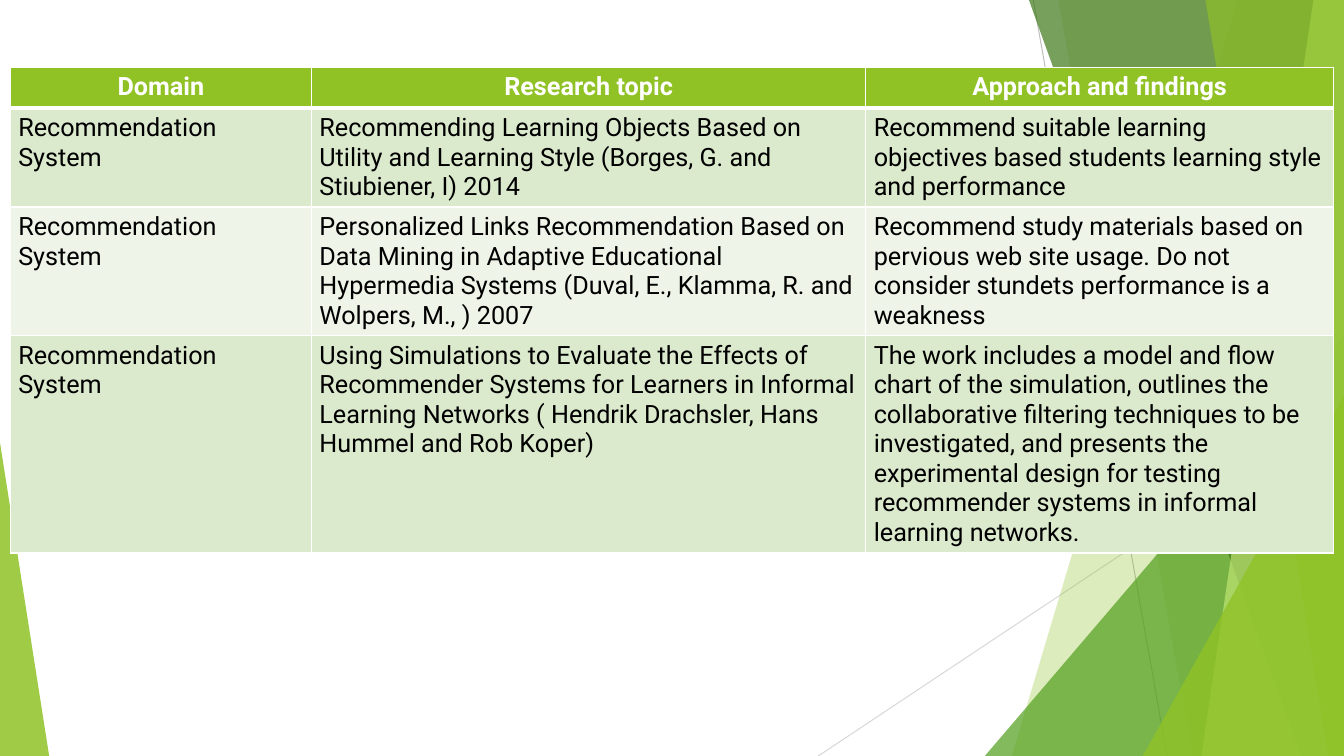
from lxml import etree
from pptx import Presentation
from pptx.dml.color import RGBColor
from pptx.enum.shapes import MSO_CONNECTOR, MSO_SHAPE
from pptx.enum.text import PP_ALIGN
from pptx.oxml.ns import qn
from pptx.util import Cm, Pt

STRAIGHT = MSO_CONNECTOR.STRAIGHT
TRIANGLE = MSO_SHAPE.ISOSCELES_TRIANGLE
CENTER, LEFT = PP_ALIGN.CENTER, PP_ALIGN.LEFT

WHITE = RGBColor(0xFF, 0xFF, 0xFF)
BLACK = RGBColor(0x00, 0x00, 0x00)
LIME = RGBColor(0x90, 0xC2, 0x26)
GREEN = RGBColor(0x54, 0xA0, 0x21)
FOREST = RGBColor(0x3F, 0x78, 0x19)
PALE_LIME = RGBColor(0xC0, 0xE4, 0x74)
ROW_DARK = RGBColor(0xDB, 0xE9, 0xCD)
ROW_LIGHT = RGBColor(0xEE, 0xF4, 0xE8)
GRAY = RGBColor(0xBF, 0xBF, 0xBF)
LIGHT_GRAY = RGBColor(0xD9, 0xD9, 0xD9)

# Content
ROWS = [
    ("Domain", "Research topic", "Approach and findings"),
    ("Recommendation System",
     "Recommending Learning Objects Based on Utility and Learning Style "
     "(Borges, G. and Stiubiener, I) 2014",
     "Recommend suitable learning objectives based students learning style "
     "and performance"),
    ("Recommendation System",
     "Personalized Links Recommendation Based on Data Mining in Adaptive "
     "Educational Hypermedia Systems (Duval, E., Klamma, R. and Wolpers, M., ) 2007",
     "Recommend study materials based on pervious web site usage. "
     "Do not consider stundets performance is a weakness"),
    ("Recommendation System",
     "Using Simulations to Evaluate the Effects of Recommender Systems for "
     "Learners in Informal Learning Networks ( Hendrik Drachsler, Hans Hummel "
     "and Rob Koper)",
     "The work includes a model and flow chart of the simulation, outlines the "
     "collaborative filtering techniques to be investigated, and presents the "
     "experimental design for testing recommender systems in informal learning "
     "networks."),
]

# Layout in centimetres
PAGE_WIDTH, PAGE_HEIGHT = 33.87, 19.05
TABLE_LEFT, TABLE_TOP = 0.26, 1.7
COLUMN_WIDTHS = (7.59, 13.97, 11.79)
ROW_HEIGHTS = (1.02, 2.48, 3.24, 5.46)
CELL_MARGINS = {"margin_left": Cm(0.2), "margin_right": Cm(0.2),
                "margin_top": Cm(0.13), "margin_bottom": Cm(0.13)}

RAYS = [  # start x, start y, end x, end y, colour
    (26.04, 0, 29.41, PAGE_HEIGHT, GRAY),
    (PAGE_WIDTH, 10.24, 20.62, PAGE_HEIGHT, LIGHT_GRAY),
]
# Bands reach the right edge: (top x, bottom x)
# Wedges stand on the bottom edge: (left, top, width, apex)
FACETS = [  # geometry, colour, opacity in percent
    ((31.19, 25.5), LIME, 30),
    ((26.67, 30.05), LIME, 20),
    ((24.82, 8.46, 9.05, 1), GREEN, 72),
    ((25.93, 32.79), FOREST, 70),
    ((33.1, 30.28), PALE_LIME, 70),
    ((30.38, 33.48), LIME, 65),
    ((28.8, 9.98, 5.07, 1), LIME, 80),
    ((0, 11.15, 1.24, 0), LIME, 85),
]


def add_ray(page, x1, y1, x2, y2, color):
    ray = page.shapes.add_connector(STRAIGHT, Cm(x1), Cm(y1), Cm(x2), Cm(y2))
    ray.line.color.rgb = color
    ray.line.width = Pt(0.75)
    etree.SubElement(ray._element.spPr, qn("a:effectLst"))


def add_band(page, top_x, bottom_x):
    outline = page.shapes.build_freeform(Cm(top_x), 0)
    outline.add_line_segments([(Cm(PAGE_WIDTH), 0),
                               (Cm(PAGE_WIDTH), Cm(PAGE_HEIGHT)),
                               (Cm(bottom_x), Cm(PAGE_HEIGHT))])
    return outline.convert_to_shape()


def add_wedge(page, left, top, width, apex):
    wedge = page.shapes.add_shape(TRIANGLE, Cm(left), Cm(top), Cm(width),
                                  Cm(PAGE_HEIGHT - top))
    wedge.adjustments[0] = apex
    return wedge


def add_facet(page, geometry, color, opacity):
    build = add_band if len(geometry) == 2 else add_wedge
    facet = build(page, *geometry)
    facet.shadow.inherit = False
    facet.line.fill.background()
    facet.fill.solid()
    facet.fill.fore_color.rgb = color
    tint = facet._element.spPr.find(qn("a:solidFill"))[0]
    etree.SubElement(tint, qn("a:alpha"), val=str(opacity * 1000))


def set_borders(cell, widths):
    properties = cell._tc.get_or_add_tcPr()
    for index, (side, width) in enumerate(widths.items()):
        border = etree.Element(qn(f"a:ln{side}"), w=str(Pt(width)))
        fill = etree.SubElement(border, qn("a:solidFill"))
        etree.SubElement(fill, qn("a:srgbClr"), val=str(WHITE))
        properties.insert(index, border)


def fill_cell(cell, text, row):
    header = row == 0
    for name, value in CELL_MARGINS.items():
        setattr(cell, name, value)
    cell.fill.solid()
    cell.fill.fore_color.rgb = LIME if header else ROW_DARK if row % 2 else ROW_LIGHT
    set_borders(cell, {"L": 1, "R": 1, "T": 3 if row == 1 else 1,
                       "B": 3 if header else 1})
    para = cell.text_frame.paragraphs[0]
    para.alignment = CENTER if header else LEFT
    span = para.add_run()
    span.text = text
    for name, value in {"name": "Roboto", "size": Pt(18), "bold": header}.items():
        setattr(span.font, name, value)
    span.font.color.rgb = WHITE if header else BLACK


def main():
    deck = Presentation()
    deck.slide_width, deck.slide_height = Cm(PAGE_WIDTH), Cm(PAGE_HEIGHT)
    page = deck.slides.add_slide(deck.slide_layouts[6])

    # Background decoration
    for ray in RAYS:
        add_ray(page, *ray)
    for facet in FACETS:
        add_facet(page, *facet)

    # Literature table
    table = page.shapes.add_table(
        len(ROWS), len(COLUMN_WIDTHS), Cm(TABLE_LEFT), Cm(TABLE_TOP),
        Cm(sum(COLUMN_WIDTHS)), Cm(sum(ROW_HEIGHTS))).table
    for column, width in zip(table.columns, COLUMN_WIDTHS):
        column.width = Cm(width)
    for row, height in zip(table.rows, ROW_HEIGHTS):
        row.height = Cm(height)
    for row, texts in enumerate(ROWS):
        for column, text in enumerate(texts):
            fill_cell(table.cell(row, column), text, row)

    deck.save("out.pptx")


if __name__ == "__main__":
    main()
